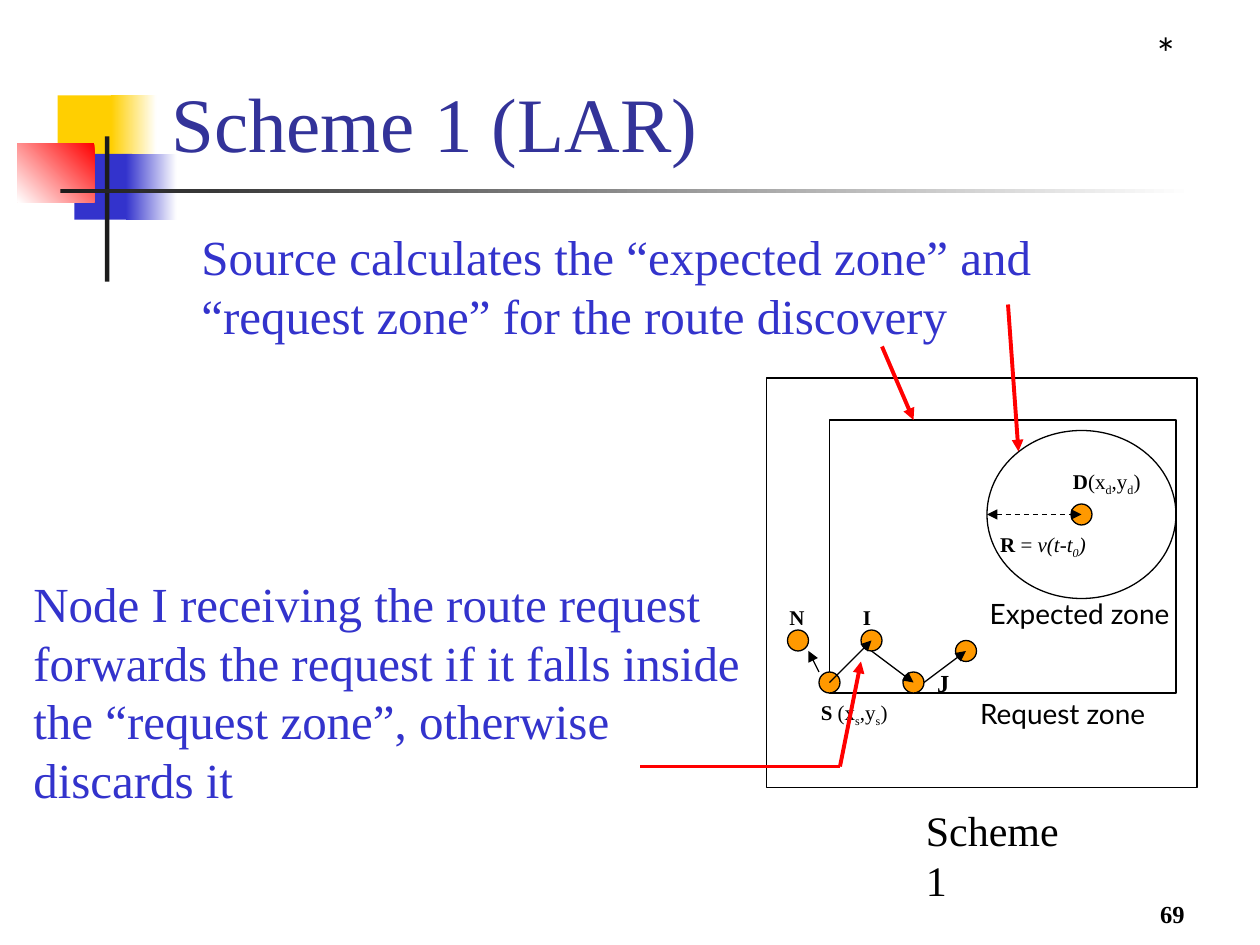
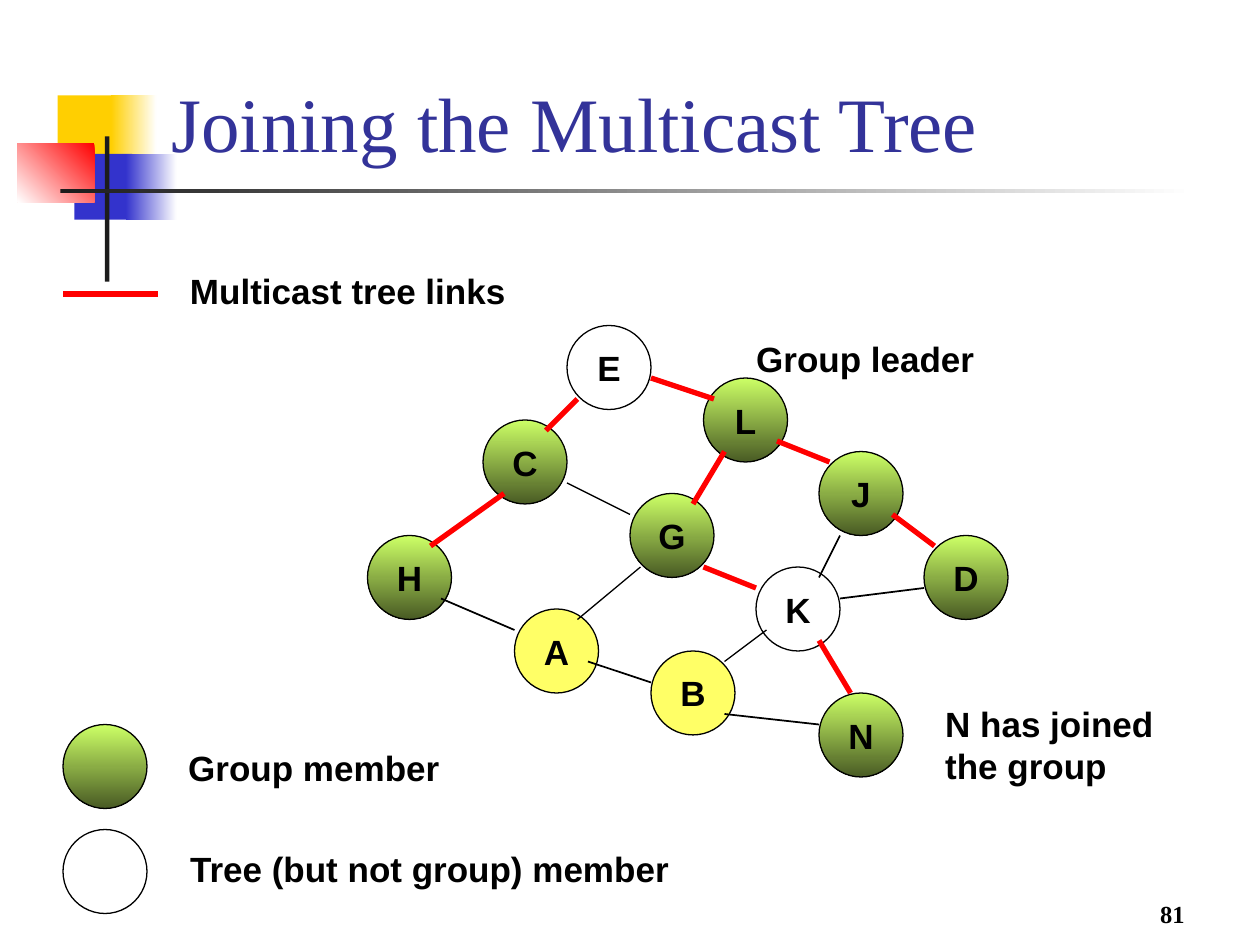
from lxml.etree import SubElement
from pptx import Presentation
from pptx.dml.color import RGBColor
from pptx.enum.dml import MSO_LINE
from pptx.enum.shapes import MSO_CONNECTOR, MSO_SHAPE, PP_PLACEHOLDER
from pptx.enum.text import MSO_ANCHOR, MSO_AUTO_SIZE, PP_ALIGN
from pptx.oxml.ns import qn
from pptx.util import Pt

BLACK, WHITE, RED, BLUE = "000000", "FFFFFF", "FF0000", "3333CC"
YELLOW, DARK, ORANGE, TITLE_BLUE = "FFCF01", "1C1C1C", "FF9900", "333399"
MEMBER, NEWCOMER, TREE_ONLY = ("CCFF66", "495B24"), ("FFFF66",), ()
SERIF, SANS, LABEL_FONT = "Times New Roman", "Arial", "Lato"


def paint(fill, *hexes, angle=0):
    if not hexes:
        fill.background()
    elif len(hexes) == 1:
        fill.solid()
        fill.fore_color.rgb = RGBColor.from_string(hexes[0])
    else:
        fill.gradient()
        fill.gradient_angle = angle
        for stop, value in zip(fill.gradient_stops, hexes):
            stop.color.rgb = RGBColor.from_string(value)


def write(frame, text, size=20, font=SERIF, color=BLACK, marks="",
          align=PP_ALIGN.LEFT, anchor=MSO_ANCHOR.TOP):
    # noqa
    frame.word_wrap = True
    frame.vertical_anchor = anchor
    for index, line in enumerate(text.split("\n")):
        paragraph = frame.add_paragraph() if index else frame.paragraphs[0]
        paragraph.alignment = align
        for part in line.split("|"):
            own_marks, _, words = part.rpartition("~")
            run = paragraph.add_run()
            run.text = words
            run.font.name = font
            run.font.size = Pt(size)
            run.font.bold = "b" in marks + own_marks
            run.font.italic = "i" in own_marks
            paint(run.font.fill, color)
            if "_" in own_marks:
                run._r.get_or_add_rPr().set("baseline", "-25000")


small = dict(size=12)
zone_name = dict(size=16, font=LABEL_FONT)
statement = dict(size=28, color=BLUE)
caption = dict(font=SANS, marks="b", anchor=MSO_ANCHOR.MIDDLE)

lar_zones = [
    (MSO_SHAPE.RECTANGLE, 438, 216, 246, 234, (), ""),
    (MSO_SHAPE.RECTANGLE, 474, 240, 198, 156, (), ""),
    (MSO_SHAPE.OVAL, 564, 246, 108, 96, (), ""),
]
lar_nodes = [
    (MSO_SHAPE.OVAL, x, y, 12, 12, (ORANGE,), "")
    for x, y in [(612, 288), (492, 360), (516, 384), (450, 360), (468, 384), (546, 366)]
]
lar_labels = [
    (444, 342, 24, 22, "b~N", small),
    (462, 396, 66, 24, "b~S| (x|_~s|,y|_~s|)", small),
    (486, 342, 20, 22, "b~I", small),
    (528.5, 378, 22, 24, "b~J", dict(size=14)),
    (606, 264, 90, 24, "b~D|(x|_~d|,y|_~d|)", small),
    (564.5, 300, 66, 24, "b~R| = |i~v(t-t|i_~0|i~)", small),
    (522, 456, 108, 36, "Scheme 1", dict(size=24)),
    (108, 126, 576, 75, "Source calculates the “expected zone” and "
     "“request zone” for the route discovery", statement),
    (12, 324, 420, 142, "Node I receiving the route request forwards the request "
     "if it falls inside the “request zone”, otherwise discards it", statement),
    (654, 12, 42, 36, "*", dict(size=24, font=LABEL_FONT)),
    (553, 394.5, 119, 27, "Request zone", zone_name),
    (558.5, 337.5, 119, 46, "Expected zone", zone_name),
]
lar_links = [
    (564, 294, 618, 294, BLACK, 0.75, "both"),
    (468, 384, 462, 372, BLACK, 0.75, "end"),
    (474, 390, 498, 366, BLACK, 0.75, "end"),
    (498, 372, 522, 390, BLACK, 0.75, "end"),
    (528, 390, 552, 372, BLACK, 0.75, "end"),
    (504, 198, 522, 240, RED, 2.25, "end"),
    (576, 174, 582, 258, RED, 2.25, "end"),
    (366, 438, 480, 438, RED, 2.25, ""),
    (480, 438, 492, 378, RED, 2.25, "end"),
]

tree_nodes = [
    (MSO_SHAPE.OVAL, x, y, 48, 48, role, letter)
    for letter, x, y, role in [
        ("E", 324, 186, TREE_ONLY), ("L", 402, 216, MEMBER), ("H", 210, 306, MEMBER),
        ("J", 468, 258, MEMBER), ("D", 528, 306, MEMBER), ("C", 276, 240, MEMBER),
        ("G", 360, 282, MEMBER), ("A", 294, 348, NEWCOMER), ("K", 432, 324, TREE_ONLY),
        ("N", 468, 396, MEMBER), ("B", 372, 372, NEWCOMER),
        ("", 36, 414, MEMBER), ("", 36, 474, TREE_ONLY),
    ]
]
tree_labels = [
    (425, 189, 140, 32, "Group leader", caption),
    (533, 398, 134, 55, "N has joined\nthe group", caption),
    (101.5, 150, 196, 32, "Multicast tree links", caption),
    (100.5, 422.5, 160, 32, "Group member", caption),
    (101.5, 480, 292, 32, "Tree (but not group) member", caption),
]
tree_links = [
    (*ends, RED, 3, "") for ends in [
        (288, 282, 246, 312), (330, 228, 312, 246), (372, 216, 408, 228),
        (414, 258, 396, 288), (444, 252, 474, 264), (402, 324, 432, 336),
        (510, 294, 534, 312), (486, 396, 468, 366), (36, 168, 90, 168),
    ]
] + [
    (*ends, BLACK, width, "") for *ends, width in [
        (324, 276, 360, 294, 0.75), (252, 342, 294, 360, 1), (528, 336, 480, 342, 1),
        (372, 390, 336, 378, 1), (414, 408, 468, 414, 1), (480, 306, 468, 330, 1),
        (366, 324, 330, 354, 0.75), (438, 360, 414, 378, 0.75),
    ]
]

deck = Presentation()
deck.slide_width, deck.slide_height = Pt(720), Pt(540)
layout = deck.slide_layouts.get_by_name("Title Only")
for slot in list(layout.placeholders):
    if slot.placeholder_format.type == PP_PLACEHOLDER.TITLE:
        slot.left, slot.top, slot.width, slot.height = Pt(90.72), Pt(9.36), Pt(613.44), Pt(90)
        slot.text_frame.auto_size = MSO_AUTO_SIZE.NONE
    else:
        slot.element.getparent().remove(slot.element)

lar_slide, tree_slide = [deck.slides.add_slide(layout) for _ in range(2)]

for x, y, width, height, hexes, angle in [
    (33, 54.5, 34.5, 37.5, (YELLOW,), 0),
    (63.5, 54.5, 26, 37.5, (YELLOW, WHITE), 0),
    (42.5, 88, 33, 37.5, (BLUE,), 0),
    (72, 88, 29, 37.5, (BLUE, WHITE), 0),
    (10, 82, 44, 33.5, (RED, WHITE), 225),
    (60, 78, 2.5, 83, (DARK,), 0),
    (34.5, 108, 648, 2.5, (DARK, WHITE), 0),
]:
    band = lar_slide.shapes.add_shape(MSO_SHAPE.RECTANGLE, Pt(x), Pt(y), Pt(width), Pt(height))
    band.shadow.inherit = False
    paint(band.fill, *hexes, angle=angle)
    paint(band.line.fill)
    layout.shapes.element.append(band.element)

for slide, title, number, outlines, labels, links in [
    (lar_slide, "Scheme 1 (LAR)", "69", lar_zones + lar_nodes, lar_labels, lar_links),
    (tree_slide, "Joining the Multicast Tree", "81", tree_nodes, tree_labels, tree_links),
]:
    write(slide.shapes.title.text_frame, title, size=44, color=TITLE_BLUE,
          anchor=MSO_ANCHOR.BOTTOM)

    for kind, x, y, width, height, hexes, letter in outlines:
        outline = slide.shapes.add_shape(kind, Pt(x), Pt(y), Pt(width), Pt(height))
        outline.shadow.inherit = False
        paint(outline.fill, *hexes, angle=270)
        paint(outline.line.fill, BLACK)
        outline.line.width = Pt(0.75)
        if letter:
            write(outline.text_frame, letter, font=SANS, marks="b",
                  align=PP_ALIGN.CENTER, anchor=MSO_ANCHOR.MIDDLE)

    page_number = (534, 498, 150, 36, number, dict(
        size=14, marks="b", align=PP_ALIGN.RIGHT, anchor=MSO_ANCHOR.BOTTOM))
    for x, y, width, height, text, style in labels + [page_number]:
        label = slide.shapes.add_textbox(Pt(x), Pt(y), Pt(width), Pt(height))
        write(label.text_frame, text, **style)

    for x1, y1, x2, y2, color, width, arrows in links:
        link = slide.shapes.add_connector(MSO_CONNECTOR.STRAIGHT, Pt(x1), Pt(y1), Pt(x2), Pt(y2))
        paint(link.line.fill, color)
        link.line.width = Pt(width)
        if arrows == "both":
            link.line.dash_style = MSO_LINE.DASH
        properties = link.element.spPr
        stroke = properties.find(qn("a:ln"))
        if arrows == "both":
            SubElement(stroke, qn("a:headEnd"), type="triangle")
        if arrows:
            SubElement(stroke, qn("a:tailEnd"), type="triangle")
        SubElement(properties, qn("a:effectLst"))

deck.save("out.pptx")
